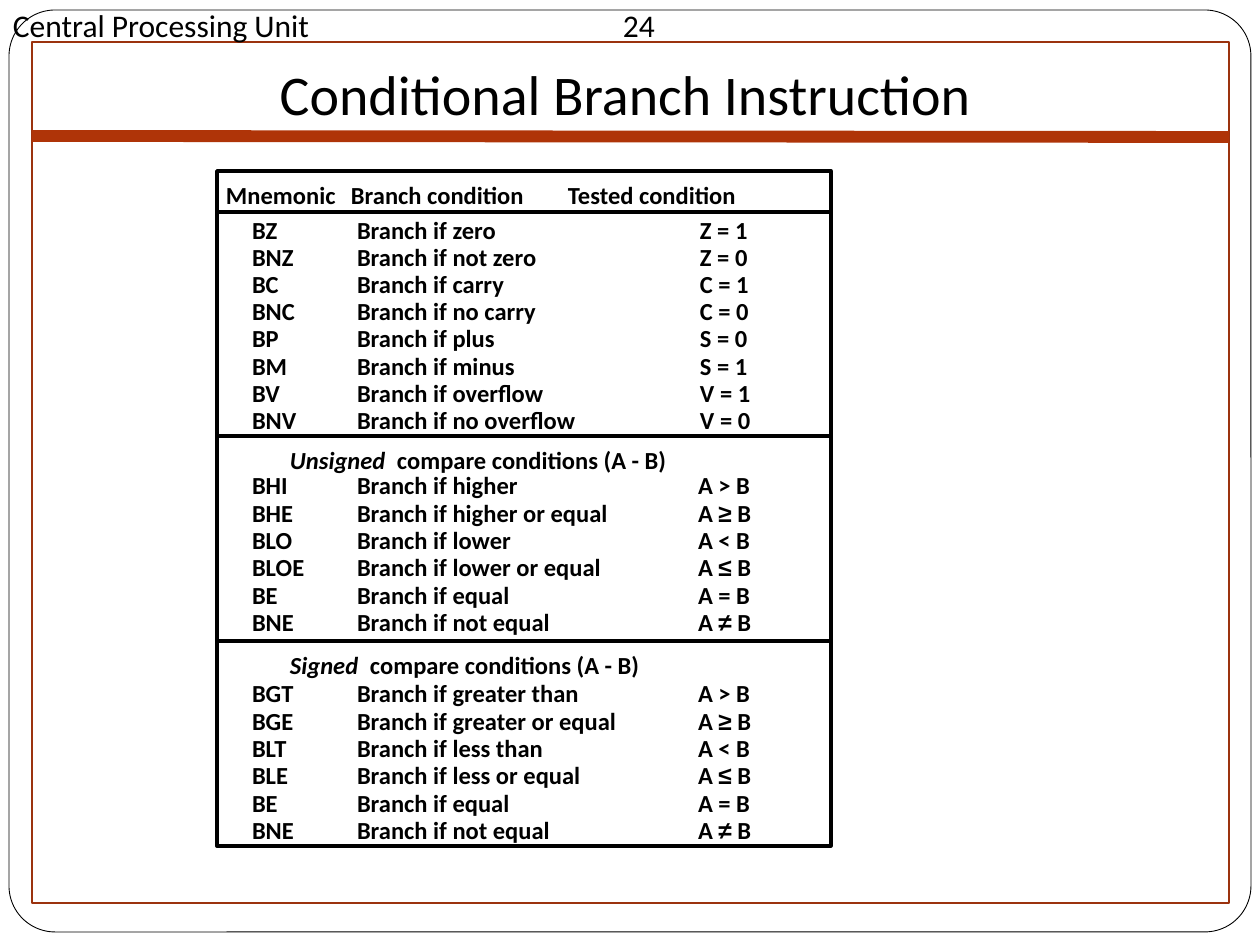
"""Build the slide listing the conditional branch instructions of a CPU."""
import itertools
from dataclasses import dataclass

import pptx
import pptx.dml.color
import pptx.enum.shapes
import pptx.enum.text
import pptx.oxml.ns
import pptx.util
from lxml import etree

SCALE = 914400 / 126


@dataclass(frozen=True)
class Theme:
    ink: str = "000000"
    paper: str = "FFFFFF"
    frame: str = "9B320E"
    bar: str = "AF3408"
    face: str = "Calibri"
    symbol_face: str = "Arial"
    symbols: str = "≥≤≠"
    title_size: int = 32
    running_size: int = 18
    table_size: int = 14


@dataclass(frozen=True)
class Box:
    left: int
    top: int
    width: int
    height: int


@dataclass(frozen=True)
class Caption:
    box: Box
    emphasis: str
    gap_stop: int


@dataclass(frozen=True)
class Group:
    top: int
    height: int
    spacing: float
    condition_stop: int
    rows: tuple[str, ...]


@dataclass(frozen=True)
class Rule:
    left: int
    top: int
    right: int
    bottom: int
    color: str
    weight: float


THEME = Theme()
PANEL = Box(9, 10, 1242, 922)
FRAME = Box(32, 42, 1197, 861)
TABLE = Box(217, 171, 614, 675)
RUNNING_HEAD = Box(0, 0, 1260, 52)
TITLE = Box(95, 53, 1061, 81)
COLUMN_HEADS = Box(217, 176, 560, 37)

CAPTIONS = (
    Caption(Box(281, 441, 440, 37), "Unsigned", 107),
    Caption(Box(281, 646, 440, 37), "Signed", 80),
)

GROUPS = (
    Group(214, 224, 0.92, 448, (
        "BZ\tBranch if zero\tZ = 1",
        "BNZ\tBranch if not zero\tZ = 0",
        "BC\tBranch if carry\tC = 1",
        "BNC\tBranch if no carry\tC = 0",
        "BP\tBranch if plus\tS = 0",
        "BM\tBranch if minus\tS = 1",
        "BV\tBranch if overflow\tV = 1",
        "BNV\tBranch if no overflow\tV = 0",
    )),
    Group(469, 171, 0.93, 446, (
        "BHI\tBranch if higher\tA > B",
        "BHE\tBranch if higher or equal\tA ≥ B",
        "BLO\tBranch if lower\tA < B",
        "BLOE\tBranch if lower or equal\tA ≤ B",
        "BE\tBranch if equal\tA = B",
        "BNE\tBranch if not equal\tA ≠ B",
    )),
    Group(677, 171, 0.93, 446, (
        "BGT\tBranch if greater than\tA > B",
        "BGE\tBranch if greater or equal\tA ≥ B",
        "BLT\tBranch if less than\tA < B",
        "BLE\tBranch if less or equal\tA ≤ B",
        "BE\tBranch if equal\tA = B",
        "BNE\tBranch if not equal\tA ≠ B",
    )),
)

TITLE_BAR = Rule(32, 136, 1229, 137, THEME.bar, 6.75)
TABLE_RULES = tuple(
    Rule(left, top, 832, top, THEME.ink, 2)
    for left, top in ((217, 212), (217, 436), (219, 641))
)


def px(length: int) -> pptx.util.Emu:
    """Turn pixels into EMU."""
    return pptx.util.Emu(round(length * SCALE))


def place(box: Box) -> tuple[pptx.util.Emu, ...]:
    """Return the left, top, width and height of a box in EMU."""
    return px(box.left), px(box.top), px(box.width), px(box.height)


def rgb(color: str) -> pptx.dml.color.RGBColor:
    """Turn a hex colour into an RGBColor."""
    return pptx.dml.color.RGBColor.from_string(color)


def draw_outline(slide, kind, box: Box, color: str, weight: float, fill: str = ""):
    """Draw an outlined shape, filled only when a fill is given."""
    outline = slide.shapes.add_shape(kind, *place(box))
    outline.shadow.inherit = False
    outline.line.color.rgb = rgb(color)
    outline.line.width = pptx.util.Pt(weight)
    if fill:
        outline.fill.solid()
        outline.fill.fore_color.rgb = rgb(fill)
    else:
        outline.fill.background()
    return outline


def draw_rule(slide, rule: Rule) -> None:
    """Draw a straight line without a shadow."""
    line = slide.shapes.add_connector(
        pptx.enum.shapes.MSO_CONNECTOR.STRAIGHT,
        px(rule.left), px(rule.top), px(rule.right), px(rule.bottom))
    line.line.color.rgb = rgb(rule.color)
    line.line.width = pptx.util.Pt(rule.weight)
    etree.SubElement(line._element.spPr, pptx.oxml.ns.qn("a:effectLst"))


def add_frame(slide, box: Box, inset: tuple[int, int] = (9, 4)):
    """Add a wrapping text box and return its text frame."""
    frame = slide.shapes.add_textbox(*place(box)).text_frame
    frame.word_wrap = True
    frame.margin_left = frame.margin_right = px(inset[0])
    frame.margin_top = frame.margin_bottom = px(inset[1])
    return frame


def format_paragraph(paragraph, size: int, stops: tuple[int, ...] = (), bold: bool = False) -> None:
    """Set the tab stops and the font of a paragraph."""
    if stops:
        tabs = etree.SubElement(paragraph._p.get_or_add_pPr(), pptx.oxml.ns.qn("a:tabLst"))
        for stop in stops:
            etree.SubElement(tabs, pptx.oxml.ns.qn("a:tab"), pos=str(px(stop)), algn="l")
    paragraph.font.name = THEME.face
    paragraph.font.size = pptx.util.Pt(size)
    paragraph.font.bold = bold
    paragraph.font.color.rgb = rgb(THEME.ink)


def write_group(slide, group: Group) -> None:
    """Write one group of instructions, aligned on tab stops."""
    frame = add_frame(slide, Box(243, group.top, 887, group.height))
    for index, row in enumerate(group.rows):
        paragraph = frame.add_paragraph() if index else frame.paragraphs[0]
        paragraph.line_spacing = group.spacing
        format_paragraph(paragraph, THEME.table_size, (105, group.condition_stop), True)
        for is_symbol, letters in itertools.groupby(row, lambda letter: letter in THEME.symbols):
            run = paragraph.add_run()
            run.text = "".join(letters)
            if is_symbol:
                run.font.name = THEME.symbol_face


def write_caption(slide, caption: Caption) -> None:
    """Write the heading of a group of compare conditions."""
    paragraph = add_frame(slide, caption.box).paragraphs[0]
    format_paragraph(paragraph, THEME.table_size, (caption.gap_stop,), True)
    emphasis = paragraph.add_run()
    emphasis.text = caption.emphasis
    emphasis.font.italic = True
    paragraph.add_run().text = "\tcompare conditions (A - B)"


def write_title(slide) -> None:
    """Fill the title placeholder and bring it in front of the panel."""
    title = slide.shapes.title
    slide.shapes._spTree.append(title._element)
    title.left, title.top, title.width, title.height = place(TITLE)
    title.text_frame.text = "Conditional Branch Instruction"
    title.text_frame.auto_size = pptx.enum.text.MSO_AUTO_SIZE.NONE
    title.text_frame.vertical_anchor = pptx.enum.text.MSO_ANCHOR.TOP
    heading = title.text_frame.paragraphs[0]
    heading.alignment = pptx.enum.text.PP_ALIGN.CENTER
    format_paragraph(heading, THEME.title_size)


def main() -> None:
    """Build and save the slide."""
    deck = pptx.Presentation()
    deck.slide_width, deck.slide_height = px(1260), px(945)
    slide = deck.slides.add_slide(deck.slide_layouts[5])
    kinds = pptx.enum.shapes.MSO_SHAPE
    panel = draw_outline(slide, kinds.ROUNDED_RECTANGLE, PANEL, THEME.ink, 0.5, THEME.paper)
    panel.adjustments[0] = 0.05
    draw_outline(slide, kinds.RECTANGLE, FRAME, THEME.frame, 1)
    running_head = add_frame(slide, RUNNING_HEAD, (13, 6)).paragraphs[0]
    running_head.add_run().text = "Central Processing Unit\t24"
    format_paragraph(running_head, THEME.running_size, (610,))
    draw_rule(slide, TITLE_BAR)
    write_title(slide)
    for group in GROUPS:
        write_group(slide, group)
    for caption in CAPTIONS:
        write_caption(slide, caption)
    column_heads = add_frame(slide, COLUMN_HEADS).paragraphs[0]
    column_heads.add_run().text = "Mnemonic\tBranch condition\tTested condition"
    format_paragraph(column_heads, THEME.table_size, (125, 342), True)
    draw_outline(slide, kinds.RECTANGLE, TABLE, THEME.ink, 2)
    for rule in TABLE_RULES:
        draw_rule(slide, rule)
    deck.save("out.pptx")


if __name__ == "__main__":
    main()
